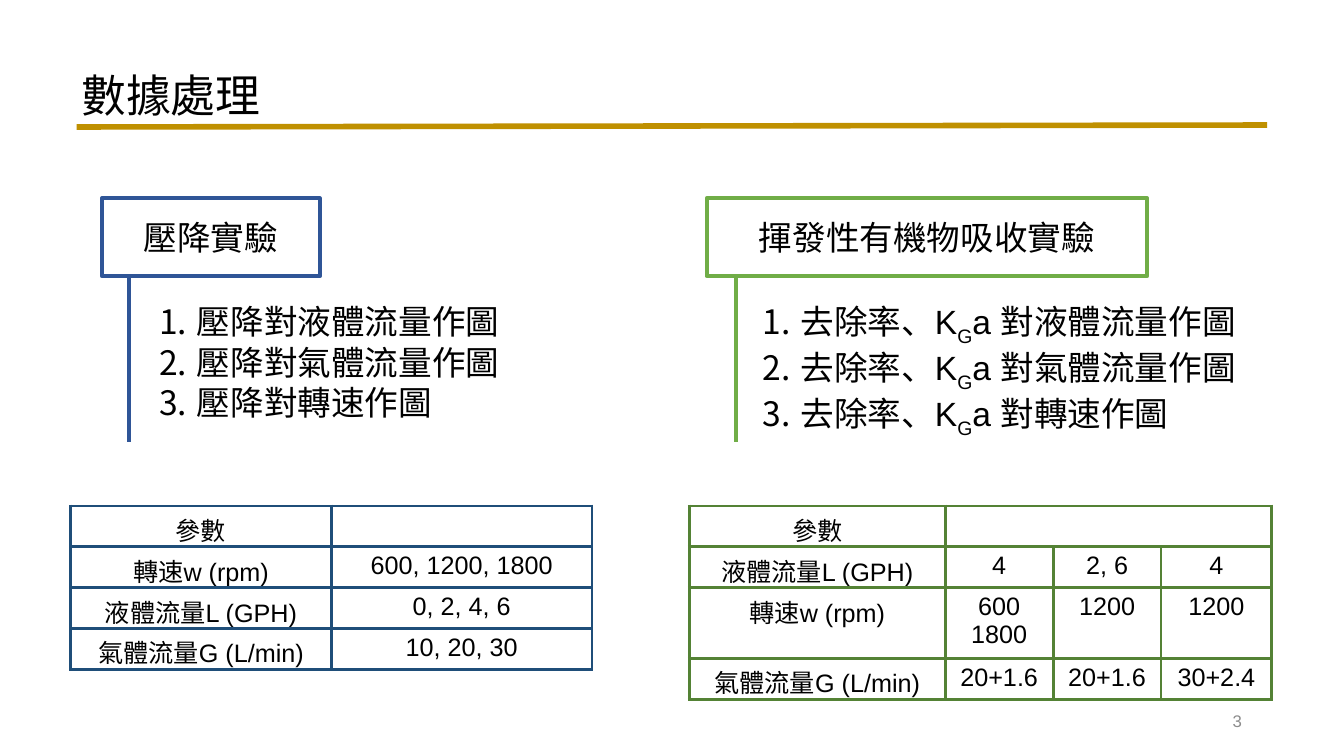
from dataclasses import dataclass

import pptx
import pptx.dml.color
import pptx.enum.shapes
import pptx.enum.text
import pptx.oxml.ns
import pptx.util
from lxml import etree

Cm = pptx.util.Cm
Pt = pptx.util.Pt
qn = pptx.oxml.ns.qn
ALIGN = pptx.enum.text.PP_ALIGN
ANCHOR = pptx.enum.text.MSO_ANCHOR


def rgb(value):
    return pptx.dml.color.RGBColor.from_string(value)


def apply(target, values):
    for name, value in values.items():
        setattr(target, name, value)


@dataclass(frozen=True)
class Theme:
    font: str = "Arial"
    ink: str = "000000"
    muted: str = "8C8C8C"
    gold: str = "BF9000"
    blue: str = "2F5597"
    navy: str = "1F4E79"
    green: str = "70AD47"
    forest: str = "548235"
    title: int = 32
    body: int = 24
    cell: int = 18
    number: int = 12
    outline: float = 3
    border: float = 2.25
    rule: float = 4


class Deck:
    def __init__(self, theme):
        self.theme = theme
        self.prs = pptx.Presentation()
        apply(self.prs, {"slide_width": Cm(33.87), "slide_height": Cm(19.05)})
        self.s = self.prs.slides.add_slide(self.prs.slide_layouts[6])

    def fill_paragraph(self, p, text, size, color=None, align=ALIGN.LEFT):
        p.alignment = align
        for i, part in enumerate(text.split("|")):
            r = p.add_run()
            r.text = part
            apply(r.font, {"name": self.theme.font, "size": Pt(size)})
            r.font.color.rgb = rgb(color or self.theme.ink)
            if i % 2:
                r._r.get_or_add_rPr().set("baseline", "-25000")

    def text(self, box, lines, size, numbered=False, wrap=False,
             anchor=ANCHOR.TOP, **style):
        tf = self.s.shapes.add_textbox(*map(Cm, box)).text_frame
        grow = pptx.enum.text.MSO_AUTO_SIZE
        apply(tf, {"word_wrap": wrap, "vertical_anchor": anchor,
                   "auto_size": grow.NONE if wrap else grow.SHAPE_TO_FIT_TEXT})
        for i, line in enumerate(lines):
            p = tf.add_paragraph() if i else tf.paragraphs[0]
            if numbered:
                pPr = p._p.get_or_add_pPr()
                pPr.set("marL", "342900")
                pPr.set("indent", "-342900")
                etree.SubElement(pPr, qn("a:buAutoNum"), type="arabicPeriod")
            self.fill_paragraph(p, line, size, **style)

    def heading(self, box, text, color):
        kind = pptx.enum.shapes.MSO_SHAPE.RECTANGLE
        sp = self.s.shapes.add_shape(kind, *map(Cm, box))
        sp.shadow.inherit = False
        sp.fill.background()
        sp.line.color.rgb = rgb(color)
        sp.line.width = Pt(self.theme.outline)
        tf = sp.text_frame
        apply(tf, {"word_wrap": True, "vertical_anchor": ANCHOR.MIDDLE})
        self.fill_paragraph(tf.paragraphs[0], text, self.theme.body, align=ALIGN.CENTER)

    def line(self, ends, color, width):
        kind = pptx.enum.shapes.MSO_CONNECTOR.STRAIGHT
        c = self.s.shapes.add_connector(kind, *map(Cm, ends))
        c.line.color.rgb = rgb(color)
        c.line.width = Pt(width)
        etree.SubElement(c._element.spPr, qn("a:effectLst"))

    def borders(self, cell, color):
        tcPr = cell._tc.get_or_add_tcPr()
        for side in ("lnL", "lnR", "lnT", "lnB"):
            ln = etree.SubElement(tcPr, qn(f"a:{side}"), w=str(Pt(self.theme.border)))
            fill = etree.SubElement(ln, qn("a:solidFill"))
            etree.SubElement(fill, qn("a:srgbClr"), val=color)

    def table(self, left, top, widths, height, rows, color):
        frame = self.s.shapes.add_table(len(rows), len(widths), Cm(left), Cm(top),
                                        Cm(sum(widths)), Cm(height * len(rows)))
        t = frame.table
        apply(t, {"first_row": False, "horz_banding": False})
        for col, width in zip(t.columns, widths):
            col.width = Cm(width)
        for row, values in zip(t.rows, rows):
            row.height = Cm(height)
            for cell, value in zip(row.cells, values):
                self.borders(cell, color)
                cell.fill.background()
                tf = cell.text_frame
                for i, line in enumerate(value.split("\n") if value else []):
                    p = tf.add_paragraph() if i else tf.paragraphs[0]
                    self.fill_paragraph(p, line, self.theme.cell, align=ALIGN.CENTER)
        if len(widths) > 2:
            t.cell(0, 1).merge(t.cell(0, len(widths) - 1))


def main():
    theme = Theme()
    deck = Deck(theme)
    deck.text((1.8, 1.57, 5.08, 1.63), ["數據處理"], theme.title)
    deck.line((1.93, 3.2, 31.93, 3.15), theme.gold, theme.rule)

    speed, liquid, gas = "轉速w (rpm)", "液體流量L (GPH)", "氣體流量G (L/min)"
    targets = ("液體流量", "氣體流量", "轉速")
    experiments = [
        {"title": "壓降實驗", "color": theme.blue, "border": theme.navy,
         "box": (2.57, 5, 5.49, 1.96), "stem": 3.25,
         "list": (3.76, 7.47, 9.17, 3.33), "subject": "壓降",
         "left": 1.78, "widths": [6.57, 6.57],
         "rows": [("參數", ""), (speed, "600, 1200, 1800"),
                  (liquid, "0, 2, 4, 6"), (gas, "10, 20, 30")]},
        {"title": "揮發性有機物吸收實驗", "color": theme.green, "border": theme.forest,
         "box": (17.81, 5, 11.1, 1.96), "stem": 18.54,
         "list": (18.97, 7.47, 12.93, 4.37), "subject": "去除率、K|G|a ",
         "left": 17.37, "widths": [6.45, 2.72, 2.72, 2.79],
         "rows": [("參數", "", "", ""), (liquid, "4", "2, 6", "4"),
                  (speed, "600\n1800", "1200", "1200"),
                  (gas, "20+1.6", "20+1.6", "30+2.4")]},
    ]
    for e in experiments:
        deck.heading(e["box"], e["title"], e["color"])
        deck.line((e["stem"], 6.93, e["stem"], 11.13), e["color"], theme.outline)
        lines = [f"{e['subject']}對{target}作圖" for target in targets]
        deck.text(e["list"], lines, theme.body, numbered=True)
        deck.table(e["left"], 12.75, e["widths"], 1.03, e["rows"], e["border"])

    deck.text((23.93, 17.65, 7.62, 1.02), ["3"], theme.number, wrap=True,
              anchor=ANCHOR.MIDDLE, color=theme.muted, align=ALIGN.RIGHT)
    deck.prs.save("out.pptx")


if __name__ == "__main__":
    main()
